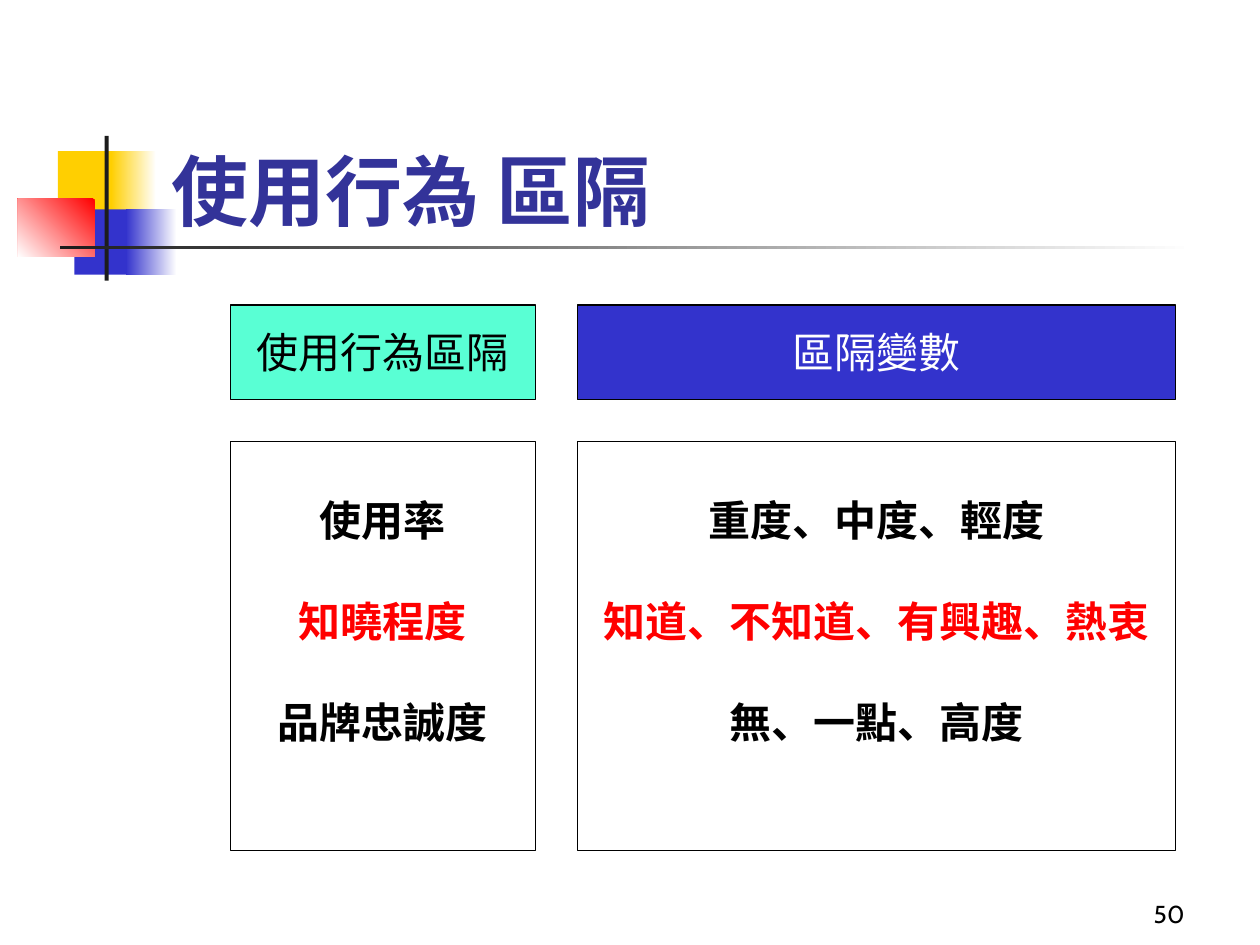
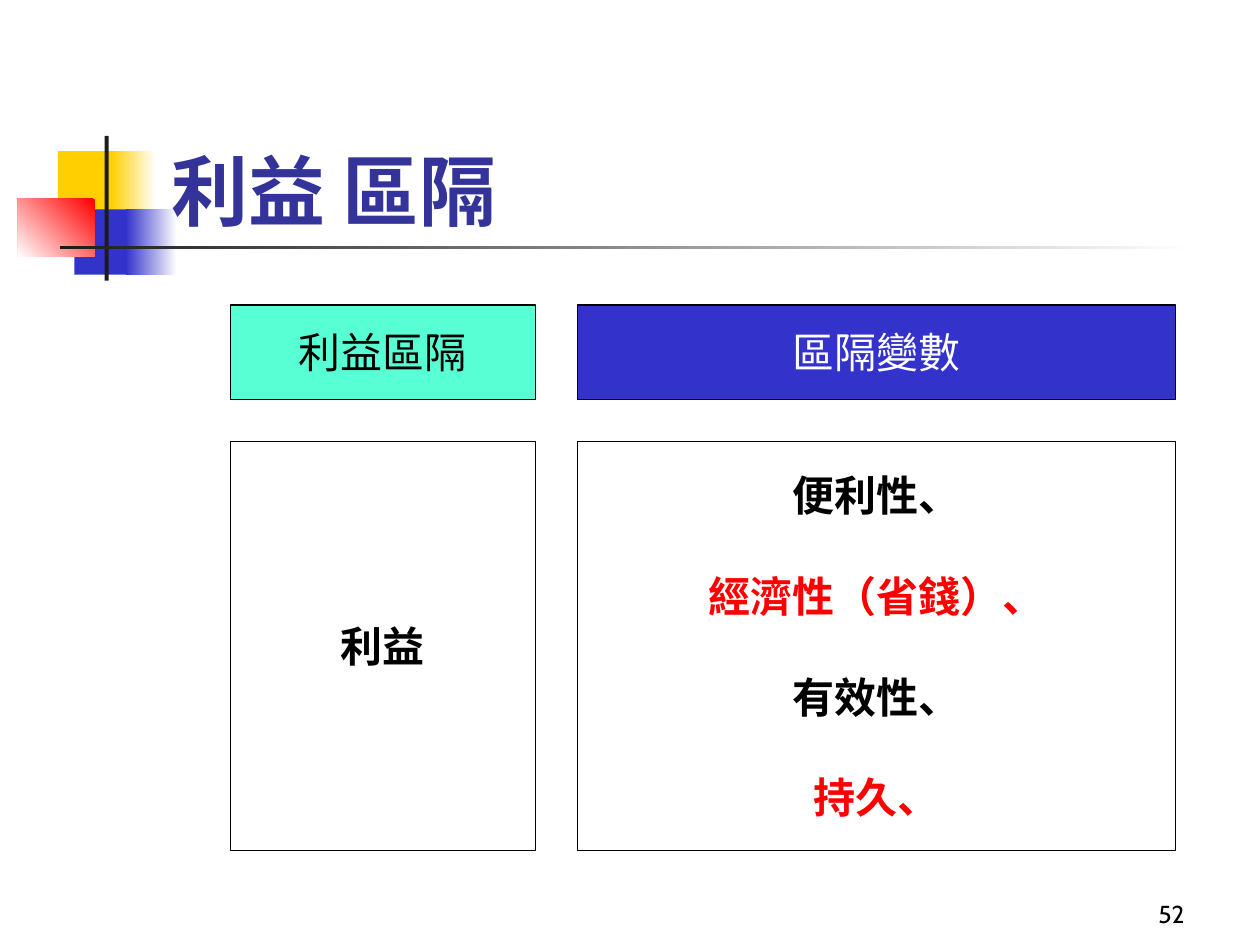
import pptx
import pptx.dml.color
import pptx.enum.shapes
import pptx.enum.text
import pptx.util

Cm = pptx.util.Cm
Pt = pptx.util.Pt
ALIGN = pptx.enum.text.PP_ALIGN
ANCHOR = pptx.enum.text.MSO_ANCHOR

BLACK, WHITE, RED = "000000", "FFFFFF", "FF0000"
YELLOW, BLUE, MINT = "FFCF01", "3333CC", "59FFD4"
INK, TITLE_BLUE = "1C1C1C", "333399"
TITLE_FONT, BODY_FONT = "Lato", "Cabin"

TITLE_BOX = (3.2, 1.7, 21.64, 3.18)
NUMBER_BOX = (18.85, 17.58, 5.28, 1.27)
MATRIX_BOX = (4.65, 6.15, 19.05, 11)
EMBLEM_BOX = (0.36, 2.74, 23.72, 2.92)

SLIDES = [
    {
        "title": "使用行為 區隔",
        "basis": "使用行為區隔",
        "categories": ["使用率", "知曉程度", "品牌忠誠度"],
        "variables": ["重度、中度、輕度", "知道、不知道、有興趣、熱衷", "無、一點、高度"],
        "raise": 1.02,
        "number": "50",
    },
    {
        "title": "利益 區隔",
        "basis": "利益區隔",
        "categories": ["利益"],
        "variables": ["便利性、", "經濟性（省錢）、", "有效性、", "持久、"],
        "raise": 0,
        "number": "52",
    },
]


def rgb(value):
    return pptx.dml.color.RGBColor.from_string(value)


def style(paragraph, font, size, color, align, bold=False):
    paragraph.alignment = align
    paragraph.font.name = font
    paragraph.font.size = Pt(size)
    paragraph.font.bold = bold
    paragraph.font.color.rgb = rgb(color)


def add_block(slide, box, fill):
    block = slide.shapes.add_shape(
        pptx.enum.shapes.MSO_SHAPE.RECTANGLE, *map(Cm, box))
    block.shadow.inherit = False
    block.fill.solid()
    block.fill.fore_color.rgb = rgb(fill)
    return block


def fade(block, start, end, angle):
    block.fill.gradient()
    block.fill.gradient_angle = angle
    for stop, color in zip(block.fill.gradient_stops, (start, end)):
        stop.color.rgb = rgb(color)


def add_emblem(slide, layout, box):
    left, top = box[:2]
    parts = [
        (0.81, 0.31, 1.22, 1.32, YELLOW, None),
        (1.88, 0.31, 0.91, 1.32, YELLOW, (WHITE, YELLOW, 180)),
        (1.14, 1.48, 1.17, 1.32, BLUE, None),
        (2.18, 1.48, 1.02, 1.32, BLUE, (WHITE, BLUE, 180)),
        (0, 1.27, 1.55, 1.17, RED, (RED, WHITE, 225)),
        (1.75, 0, 0.08, 2.92, INK, None),
        (0.86, 2.21, 22.86, 0.08, INK, (WHITE, INK, 180)),
    ]
    for order, (x, y, width, height, fill, gradient) in enumerate(parts):
        block = add_block(slide, (left + x, top + y, width, height), fill)
        block.line.fill.background()
        if gradient:
            fade(block, *gradient)
        block.element.nvSpPr.cNvPr.set("id", str(101 + order))
        layout.shapes.element.insert(2 + order, block.element)


def add_title(slide, box, text):
    title = slide.shapes.title
    title.left, title.top, title.width, title.height = map(Cm, box)
    frame = title.text_frame
    frame.text = text
    frame.word_wrap = True
    frame.auto_size = pptx.enum.text.MSO_AUTO_SIZE.NONE
    frame.vertical_anchor = ANCHOR.BOTTOM
    style(frame.paragraphs[0], TITLE_FONT, 44, TITLE_BLUE, ALIGN.LEFT, True)


def add_cell(slide, box, fill, lines, colors, bold=False, raised=0):
    cell = add_block(slide, box, fill)
    cell.line.color.rgb = rgb(BLACK)
    cell.line.width = Pt(0.75)
    frame = cell.text_frame
    frame.word_wrap = False
    frame.vertical_anchor = ANCHOR.MIDDLE
    frame.margin_bottom = Cm(0.13 + raised)
    frame.text = "\n".join(lines)
    for row, paragraph in enumerate(frame.paragraphs):
        style(paragraph, BODY_FONT, 24, colors[row % len(colors)], ALIGN.CENTER, bold)
        if row:
            paragraph.space_before = Pt(28.8)


def add_matrix(slide, box, content):
    left, top, width, height = box
    gap, basis_width, head_height = 0.85, 6.14, 1.9
    columns = [
        (left, basis_width, MINT, BLACK, content["basis"], content["categories"]),
        (left + basis_width + gap, width - basis_width - gap, BLUE, WHITE,
         "區隔變數", content["variables"]),
    ]
    body_top = top + head_height + gap
    for x, column_width, fill, color, heading, _ in columns:
        add_cell(slide, (x, top, column_width, head_height), fill, [heading], [color])
    for x, column_width, _, _, _, lines in columns:
        add_cell(slide, (x, body_top, column_width, top + height - body_top),
                 WHITE, lines, [BLACK, RED], True, content["raise"])


def add_number(slide, box, text):
    frame = slide.shapes.add_textbox(*map(Cm, box)).text_frame
    frame.word_wrap = True
    frame.vertical_anchor = ANCHOR.BOTTOM
    frame.text = text
    style(frame.paragraphs[0], BODY_FONT, 14, BLACK, ALIGN.RIGHT)


def add_segment_slide(deck, layout, content):
    slide = deck.slides.add_slide(layout)
    add_title(slide, TITLE_BOX, content["title"])
    add_matrix(slide, MATRIX_BOX, content)
    add_number(slide, NUMBER_BOX, content["number"])
    return slide


def main():
    deck = pptx.Presentation()
    deck.slide_width, deck.slide_height = Cm(25.4), Cm(19.05)
    layout = deck.slide_layouts[5]
    slides = [add_segment_slide(deck, layout, content) for content in SLIDES]
    add_emblem(slides[0], layout, EMBLEM_BOX)
    deck.save("out.pptx")


if __name__ == "__main__":
    main()
